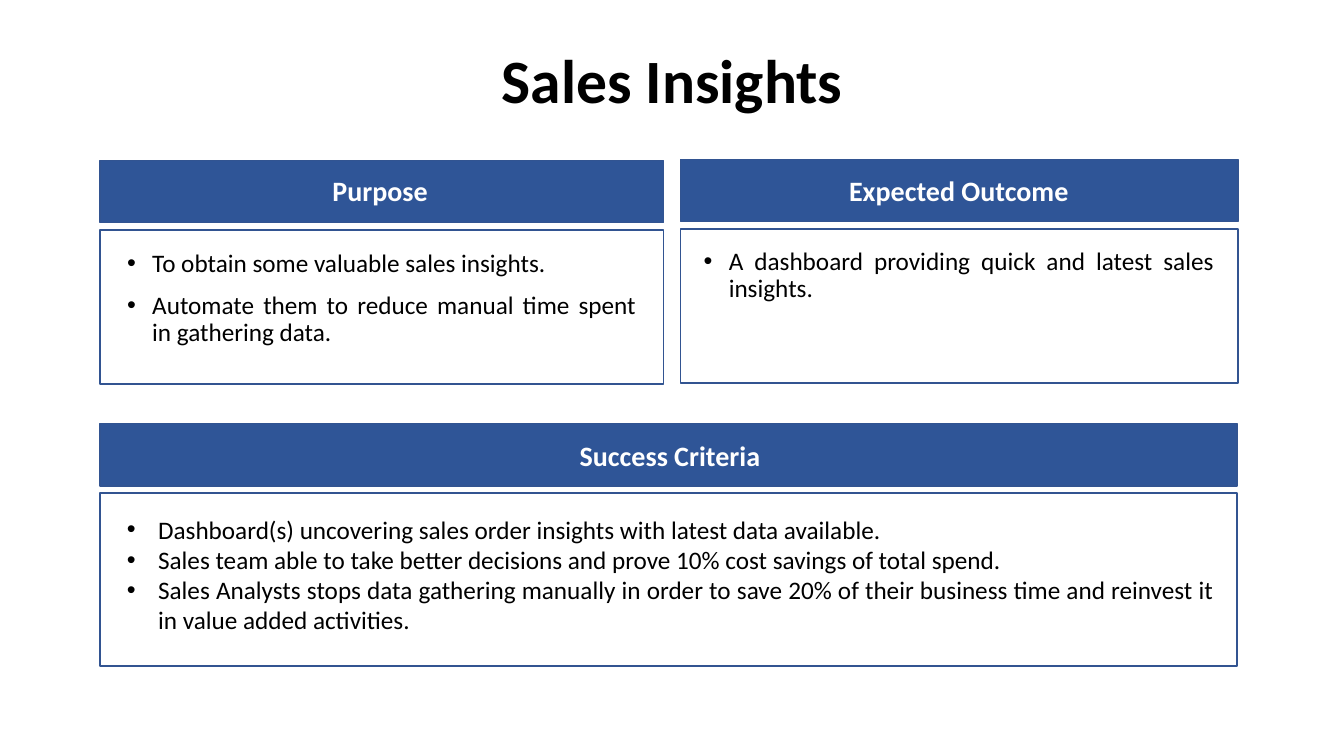
"""Build the Sales Insights slide: purpose, expected outcome and success criteria."""
from lxml import etree
from pptx import Presentation
from pptx.dml.color import RGBColor
from pptx.enum.shapes import MSO_SHAPE
from pptx.enum.text import MSO_ANCHOR, MSO_AUTO_SIZE, PP_ALIGN
from pptx.oxml.ns import qn
from pptx.util import Inches, Pt

COLORS = {"header": "2F5597", "border": "325491", "text": "000000", "heading": "FFFFFF"}


def write_lines(frame, lines, size, color, align, bold=False, spacing=1.0, before=0, indent=0):
    """Fill a text frame, one paragraph per line, bulleted when an indent is given."""
    frame.word_wrap = True
    frame.auto_size = MSO_AUTO_SIZE.NONE
    for number, line in enumerate(lines):
        paragraph = frame.add_paragraph() if number else frame.paragraphs[0]
        paragraph.text = line
        paragraph.alignment = align
        paragraph.line_spacing = spacing
        paragraph.space_before = Pt(before)
        if indent:
            properties = paragraph._p.get_or_add_pPr()
            properties.set("marL", str(Inches(indent)))
            properties.set("indent", str(-Inches(indent)))
            etree.SubElement(properties, qn("a:buFont")).set("typeface", "Arial")
            etree.SubElement(properties, qn("a:buChar")).set("char", "•")
        paragraph.font.name = "Calibri"
        paragraph.font.size = Pt(size)
        paragraph.font.bold = bold
        paragraph.font.color.rgb = RGBColor.from_string(COLORS[color])


def add_panel(box, line_width, fill=None):
    """Draw a bordered rectangle, filled only when a colour is given."""
    panel = slide.shapes.add_shape(MSO_SHAPE.RECTANGLE, *map(Inches, box))
    panel.shadow.inherit = False
    panel.line.color.rgb = RGBColor.from_string(COLORS["border"])
    panel.line.width = Pt(line_width)
    if fill:
        panel.fill.solid()
        panel.fill.fore_color.rgb = RGBColor.from_string(COLORS[fill])
    else:
        panel.fill.background()


deck = Presentation()
deck.slide_width, deck.slide_height = Inches(13.33), Inches(7.5)
slide = deck.slides.add_slide(deck.slide_layouts[1])

title = slide.shapes.title
title.left, title.top, title.width, title.height = map(Inches, (0.92, 0.4, 11.5, 0.85))
title.text_frame.vertical_anchor = MSO_ANCHOR.MIDDLE
write_lines(title.text_frame, ["Sales Insights"], 44, "text", PP_ALIGN.CENTER, bold=True, spacing=0.9)

sections = [
    {"heading": "Purpose", "left": 0.99, "top": 1.59, "width": 5.59, "body_height": 1.53,
     "heading_box": (1.13, 1.67, 5.28, 0.44), "list_box": (1.16, 2.44, 5.25, 1.15),
     "style": {"spacing": 0.9, "before": 10, "indent": 0.25},
     "points": ["To obtain some valuable sales insights.",
                "Automate them to reduce manual time spent in gathering data."]},
    {"heading": "Expected Outcome", "left": 6.75, "top": 1.58, "width": 5.53, "body_height": 1.53,
     "heading_box": (6.88, 1.67, 5.26, 0.44), "list_box": (6.88, 2.42, 5.26, 1.19),
     "style": {"spacing": 0.9, "before": 10, "indent": 0.25},
     "points": ["A dashboard providing quick and latest sales insights."]},
    {"heading": "Success Criteria", "left": 0.99, "top": 4.2, "width": 11.28, "body_height": 1.72,
     "heading_box": (4.05, 4.3, 5.19, 0.44), "list_box": (1.16, 5.05, 10.98, 1.31),
     "style": {"indent": 0.31},
     "points": ["Dashboard(s) uncovering sales order insights with latest data available.",
                "Sales team able to take better decisions and prove 10% cost savings of total spend.",
                "Sales Analysts stops data gathering manually in order to save 20% of their "
                "business time and reinvest it in value added activities."]},
]

for section in sections:
    left, top, width = section["left"], section["top"], section["width"]
    add_panel((left, top, width, 0.62), 1, "header")
    add_panel((left, top + 0.69, width, section["body_height"]), 1.25)

    heading = slide.shapes.add_textbox(*map(Inches, section["heading_box"]))
    write_lines(heading.text_frame, [section["heading"]], 20, "heading", PP_ALIGN.CENTER, bold=True)

    list_box = [Inches(length) for length in section["list_box"]]
    if section["heading"] == "Purpose":
        points = slide.placeholders[1]
        points.left, points.top, points.width, points.height = list_box
    else:
        points = slide.shapes.add_textbox(*list_box)
    write_lines(points.text_frame, section["points"], 18, "text", PP_ALIGN.JUSTIFY, **section["style"])

deck.save("out.pptx")
